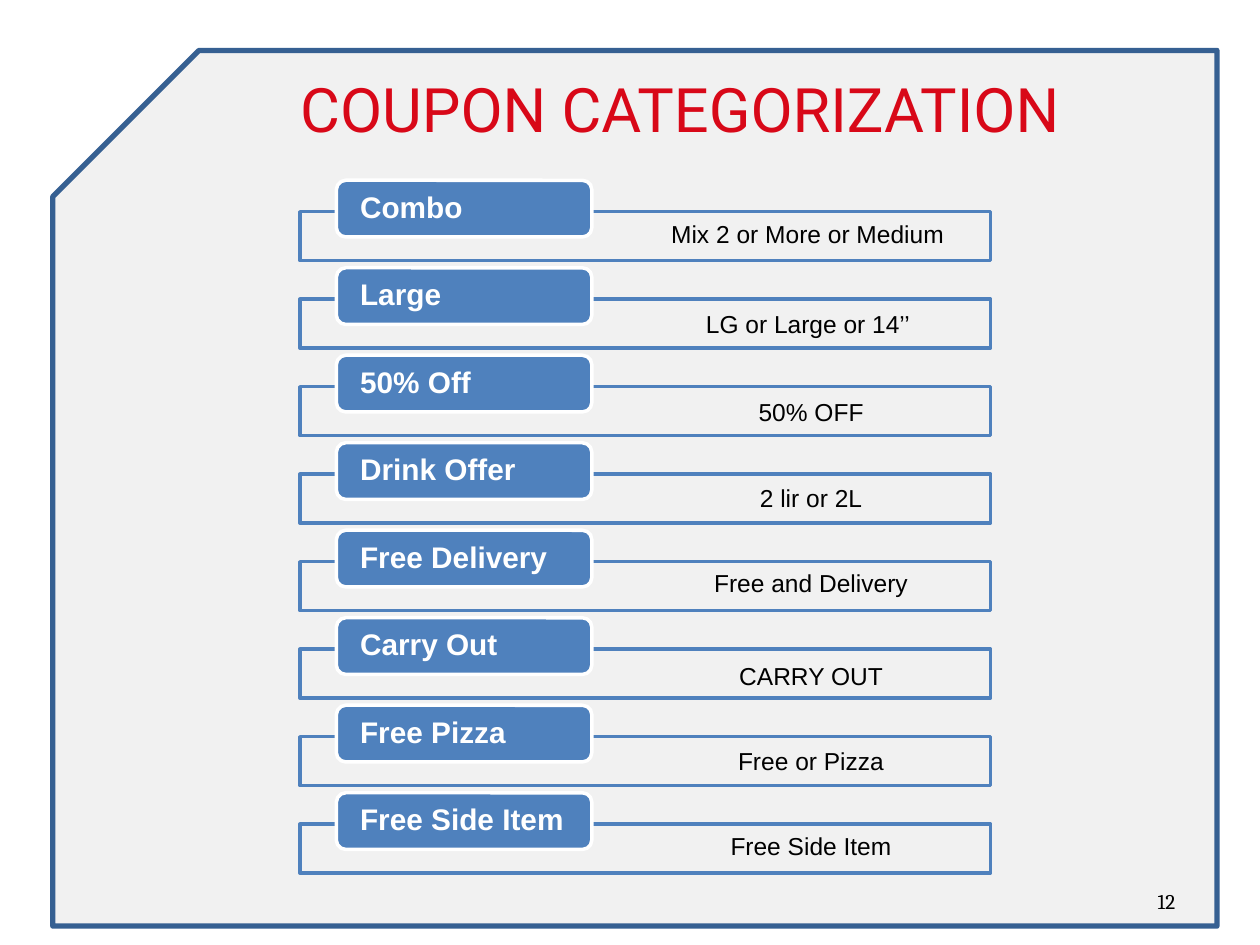
from dataclasses import dataclass

from lxml import etree
from pptx import Presentation
from pptx.dml.color import RGBColor
from pptx.enum.shapes import MSO_SHAPE
from pptx.enum.text import MSO_ANCHOR, PP_ALIGN
from pptx.oxml.ns import qn
from pptx.util import Pt

SNIPPED = MSO_SHAPE.SNIP_1_RECTANGLE
RECTANGLE = MSO_SHAPE.RECTANGLE
ROUNDED = MSO_SHAPE.ROUNDED_RECTANGLE
LEFT = PP_ALIGN.LEFT
CENTER = PP_ALIGN.CENTER
MIDDLE = MSO_ANCHOR.MIDDLE

WHITE = RGBColor(0xFF, 0xFF, 0xFF)
BLACK = RGBColor(0x00, 0x00, 0x00)
RED = RGBColor(0xD8, 0x08, 0x18)
BLUE = RGBColor(0x4F, 0x81, 0xBD)
NAVY = RGBColor(0x36, 0x60, 0x92)
GREY = RGBColor(0xD8, 0xD8, 0xD8)

FIRST_BAR_TOP = 121
ROW_STEP = 50
TAB_RISE = 18


@dataclass(frozen=True)
class Box:
    left: float
    top: float
    width: float
    height: float

    def lengths(self):
        return Pt(self.left), Pt(self.top), Pt(self.width), Pt(self.height)


@dataclass(frozen=True)
class Coupon:
    category: str
    keywords: str
    keywords_top: float


COUPONS = [
    Coupon("Combo", "Mix 2 or More or Medium ", 121.7),
    Coupon("Large", "LG or Large or 14’’ ", 172.8),
    Coupon("50% Off", "50% OFF", 223.2),
    Coupon("Drink Offer", "2 lir or 2L", 272.2),
    Coupon("Free Delivery", "Free and Delivery", 321.1),
    Coupon("Carry Out", "CARRY OUT", 374.4),
    Coupon("Free Pizza", "Free or Pizza", 422.6),
    Coupon("Free Side Item", "Free Side Item", 471.6),
]


def add_panel(slide, kind, box: Box, line: RGBColor, weight: float, fill=None):
    panel = slide.shapes.add_shape(kind, *box.lengths())
    panel.shadow.inherit = False
    panel.line.color.rgb = line
    panel.line.width = Pt(weight)
    if fill is None:
        panel.fill.background()
    else:
        panel.fill.solid()
        panel.fill.fore_color.rgb = fill
    return panel


def write(holder, text: str, *, size: float, font="Arial", color=BLACK,
          bold=False, align=LEFT, anchor=None, inset_x=7.2, inset_y=3.6,
          spacing=1.0):
    frame = holder.text_frame
    frame.word_wrap = True
    frame.margin_left = frame.margin_right = Pt(inset_x)
    frame.margin_top = frame.margin_bottom = Pt(inset_y)
    if anchor is not None:
        frame.vertical_anchor = anchor
    paragraph = frame.paragraphs[0]
    paragraph.alignment = align
    paragraph.line_spacing = spacing
    run = paragraph.add_run()
    run.text = text
    run.font.size = Pt(size)
    run.font.name = font
    run.font.bold = bold
    run.font.color.rgb = color


def add_backdrop(slide) -> None:
    backdrop = add_panel(slide, SNIPPED, Box(30.2, 28.8, 665.3, 500.4), NAVY, 3, GREY)
    backdrop.adjustments[0] = 0.167
    properties = backdrop.element.spPr
    properties.find(qn("a:xfrm")).set("flipH", "1")
    tint = properties.find(qn("a:solidFill")).find(qn("a:srgbClr"))
    etree.SubElement(tint, qn("a:alpha")).set("val", "34000")


def add_coupon(slide, row: int, coupon: Coupon) -> None:
    bar_top = FIRST_BAR_TOP + row * ROW_STEP
    add_panel(slide, RECTANGLE, Box(171.4, bar_top, 394.6, 28), BLUE, 2)
    tab = add_panel(slide, ROUNDED, Box(192.2, bar_top - TAB_RISE, 146, 32.4),
                    WHITE, 2, BLUE)
    write(tab, coupon.category, size=17, color=WHITE, bold=True, anchor=MIDDLE,
          inset_x=12, inset_y=0, spacing=0.9)
    keywords = slide.shapes.add_textbox(*Box(376, coupon.keywords_top, 175, 24.5).lengths())
    write(keywords, coupon.keywords, size=14, align=CENTER)


def main() -> None:
    deck = Presentation()
    deck.slide_width, deck.slide_height = Pt(720), Pt(540)
    slide = deck.slides.add_slide(deck.slide_layouts[6])

    add_backdrop(slide)
    title = slide.shapes.add_textbox(*Box(102.2, 36, 573.1, 51.8).lengths())
    write(title, "COUPON CATEGORIZATION", size=35, font="Roboto", color=RED,
          align=CENTER, anchor=MIDDLE, inset_y=7.2)
    page_number = slide.shapes.add_textbox(*Box(654.5, 500.4, 31.7, 28.8).lengths())
    write(page_number, "12", size=12, font="Cambria", anchor=MIDDLE)
    for row, coupon in enumerate(COUPONS):
        add_coupon(slide, row, coupon)

    deck.save("out.pptx")


if __name__ == "__main__":
    main()
